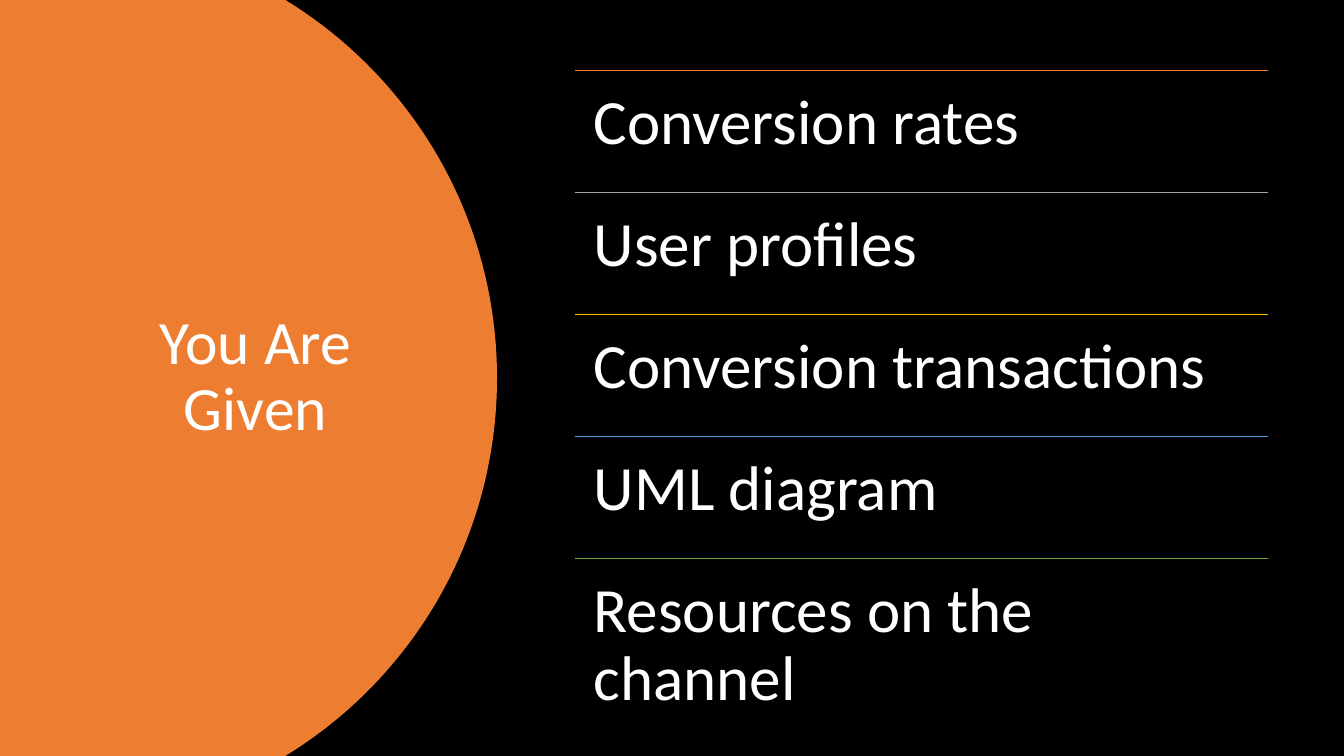
from dataclasses import dataclass

import pptx
import pptx.dml.color
import pptx.enum.shapes
import pptx.enum.text
import pptx.oxml
import pptx.oxml.ns
import pptx.util

Inches = pptx.util.Inches
ANCHOR = pptx.enum.text.MSO_ANCHOR
ALIGN = pptx.enum.text.PP_ALIGN

COLORS = {
    "background": "000000",
    "text": "FFFFFF",
    "orange": "ED7D31",
    "gray": "A5A5A5",
    "gold": "FFC000",
    "blue": "5B9BD5",
    "green": "70AD47",
}
FONT = "Calibri"
LIST_LEFT, LIST_TOP, LIST_WIDTH, ROW_HEIGHT = 5.7, 0.7, 6.88, 1.21
CURVE_STEPS = 40


@dataclass
class Item:
    text: str
    color: str


@dataclass
class TextStyle:
    size: float
    align: ALIGN
    anchor: ANCHOR
    inset_x: float
    inset_y: float
    space_after: float = 0


TITLE = TextStyle(44, ALIGN.CENTER, ANCHOR.MIDDLE, 0.1, 0.05)
ROW = TextStyle(45, ALIGN.LEFT, ANCHOR.TOP, 0.19, 0.19, 15.75)
ITEMS = [
    Item("Conversion rates", "orange"),
    Item("User profiles", "gray"),
    Item("Conversion transactions", "gold"),
    Item("UML diagram", "blue"),
    Item("Resources on the channel", "green"),
]


def rgb(name: str) -> pptx.dml.color.RGBColor:
    return pptx.dml.color.RGBColor.from_string(COLORS[name])


def set_attrs(target, values: dict) -> None:
    for name, value in values.items():
        setattr(target, name, value)


def add_text(s, text: str, box: tuple, style: TextStyle) -> None:
    tf = s.shapes.add_textbox(*map(Inches, box)).text_frame
    set_attrs(tf, {
        "word_wrap": True,
        "vertical_anchor": style.anchor,
        "margin_left": Inches(style.inset_x),
        "margin_right": Inches(style.inset_x),
        "margin_top": Inches(style.inset_y),
        "margin_bottom": Inches(style.inset_y),
    })
    p = tf.paragraphs[0]
    set_attrs(p, {
        "alignment": style.align,
        "line_spacing": 0.9,
        "space_after": pptx.util.Pt(style.space_after),
    })
    r = p.add_run()
    r.text = text
    set_attrs(r.font, {"name": FONT, "size": pptx.util.Pt(style.size)})
    r.font.color.rgb = rgb("text")


def add_rule(s, top: float, color: str) -> None:
    line = s.shapes.add_connector(
        pptx.enum.shapes.MSO_CONNECTOR.STRAIGHT,
        Inches(LIST_LEFT), Inches(top),
        Inches(LIST_LEFT + LIST_WIDTH), Inches(top))
    line.line.width = pptx.util.Pt(1)
    line.line.color.rgb = rgb(color)
    sp_pr = line._element.spPr
    sp_pr.append(pptx.oxml.parse_xml(
        f"<a:effectLst {pptx.oxml.ns.nsdecls('a')}/>"))


def bezier(t: float, controls: list) -> tuple:
    """Return the point at t on a cubic curve, in EMU."""
    u = 1 - t
    weights = (u ** 3, 3 * u * u * t, 3 * u * t * t, t ** 3)
    return tuple(Inches(sum(w * c[axis] for w, c in zip(weights, controls)))
                 for axis in (0, 1))


def add_half_disc(s) -> None:
    upper = [(2.83, 0), (4.09, 0.77), (4.93, 2.16), (4.93, 3.75)]
    lower = [(x, 7.5 - y) for x, y in reversed(upper)]
    points = [bezier(i / CURVE_STEPS, curve)
              for curve in (upper, lower) for i in range(CURVE_STEPS + 1)]
    builder = s.shapes.build_freeform(0, 0)
    builder.add_line_segments(points + [(0, Inches(7.5))], close=True)
    sp = builder.convert_to_shape()
    sp.shadow.inherit = False
    sp.fill.solid()
    sp.fill.fore_color.rgb = rgb("orange")
    sp.line.fill.background()


def main() -> None:
    prs = pptx.Presentation()
    set_attrs(prs, {"slide_width": Inches(13.33), "slide_height": Inches(7.5)})
    s = prs.slides.add_slide(prs.slide_layouts[6])
    s.background.fill.solid()
    s.background.fill.fore_color.rgb = rgb("background")

    add_half_disc(s)
    add_text(s, "You Are Given", (0.92, 0.7, 3.23, 6.09), TITLE)
    for i, item in enumerate(ITEMS):
        top = LIST_TOP + i * ROW_HEIGHT
        add_rule(s, top, item.color)
        add_text(s, item.text, (LIST_LEFT, top, LIST_WIDTH, ROW_HEIGHT), ROW)

    prs.save("out.pptx")


if __name__ == "__main__":
    main()
